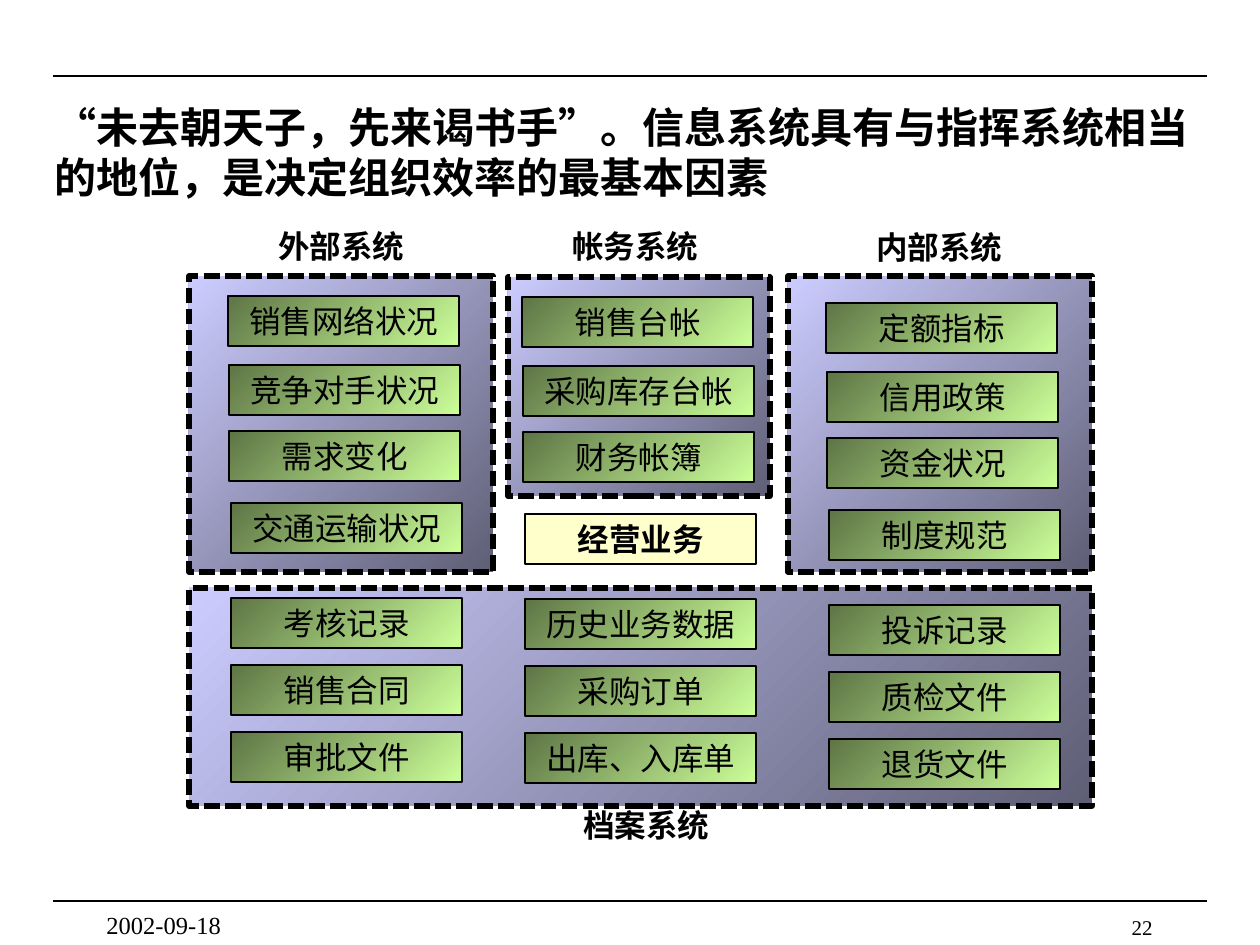
from lxml.etree import SubElement
from pptx import Presentation
from pptx.dml.color import RGBColor
from pptx.enum.dml import MSO_LINE
from pptx.enum.lang import MSO_LANGUAGE_ID
from pptx.enum.shapes import MSO_CONNECTOR, MSO_SHAPE
from pptx.enum.text import MSO_ANCHOR, PP_ALIGN
from pptx.oxml.ns import qn
from pptx.util import Emu, Pt

PX = 914400 / 126
COLORS = {
    "black": "000000",
    "cream": "FFFFCC",
    "green_light": "CCFF99",
    "green_dark": "5E7546",
    "violet_light": "CCCCFF",
    "violet_dark": "5E5E75",
}
LATIN_FONT = "Times New Roman"
CJK_FONT = "Noto Sans CJK SC"

TITLE = "“未去朝天子，先来谒书手”。信息系统具有与指挥系统相当的地位，是决定组织效率的最基本因素"
RULE_TOPS = [76, 901]
PANELS = [
    (189, 588, 903, 218),
    (508, 277, 262, 219),
    (788, 276, 304, 296),
    (189, 276, 304, 296),
]
HEADINGS = [
    ("外部系统", 231, 221),
    ("帐务系统", 525, 221),
    ("内部系统", 829, 222),
    ("档案系统", 536, 800),
]
# Each column: left, downward shift, upper items, archive items
COLUMNS = [
    (231, 0, ["销售网络状况", "竞争对手状况", "需求变化", "交通运输状况"],
     ["考核记录", "销售合同", "审批文件"]),
    (525, 1, ["销售台帐", "采购库存台帐", "财务帐簿"],
     ["历史业务数据", "采购订单", "出库、入库单"]),
    (829, 7, ["定额指标", "信用政策", "资金状况", "制度规范"],
     ["投诉记录", "质检文件", "退货文件"]),
]
UPPER_ROWS = [(-3, 296), (-2, 365), (-2, 431), (0, 503)]
ARCHIVE_ROWS = [(0, 598 + 67 * row) for row in range(3)]
BOX_WIDTH, BOX_HEIGHT = 231, 50
HEADING_WIDTH = 220


def px(*lengths):
    return [Emu(round(length * PX)) for length in lengths]


def color(name):
    return RGBColor.from_string(COLORS[name])


def write(shape, text, size=18, bold=False, font=LATIN_FONT,
          align=PP_ALIGN.CENTER, anchor=MSO_ANCHOR.MIDDLE):
    frame = shape.text_frame
    frame.word_wrap = True
    frame.vertical_anchor = anchor
    paragraph = frame.paragraphs[0]
    paragraph.alignment = align
    run = paragraph.add_run()
    run.text = text
    run.font.size = Pt(size)
    run.font.bold = bold
    run.font.name = font
    run.font.language_id = MSO_LANGUAGE_ID.SIMPLIFIED_CHINESE
    run.font.color.rgb = color("black")
    SubElement(run.font._element, qn("a:ea"), typeface=CJK_FONT)


def add_text(slide, box, text, **style):
    write(slide.shapes.add_textbox(*px(*box)), text, **style)


def add_rectangle(slide, box, fill_colors, line_width=0.75):
    """Two fill colours run from the bottom right to the top left corner."""
    shape = slide.shapes.add_shape(MSO_SHAPE.RECTANGLE, *px(*box))
    shape.shadow.inherit = False
    if len(fill_colors) == 1:
        shape.fill.solid()
        shape.fill.fore_color.rgb = color(fill_colors[0])
    else:
        shape.fill.gradient()
        shape.fill.gradient_angle = 135
        for stop, name in zip(shape.fill.gradient_stops, fill_colors):
            stop.color.rgb = color(name)
    shape.line.color.rgb = color("black")
    shape.line.width = Pt(line_width)
    return shape


def add_rule(slide, top):
    rule = slide.shapes.add_connector(MSO_CONNECTOR.STRAIGHT, *px(53, top, 1207, top))
    rule.line.color.rgb = color("black")
    rule.line.width = Pt(0.75)
    SubElement(rule._element.spPr, qn("a:effectLst"))


def main():
    presentation = Presentation()
    presentation.slide_width, presentation.slide_height = px(1260, 945)
    slide = presentation.slides.add_slide(presentation.slide_layouts[6])

    for top in RULE_TOPS:
        add_rule(slide, top)
    add_text(slide, (42, 84, 1176, 136), TITLE, size=24, bold=True,
             font=CJK_FONT, align=PP_ALIGN.LEFT)

    for panel_box in PANELS:
        panel = add_rectangle(slide, panel_box, ["violet_dark", "violet_light"], 3)
        panel.line.dash_style = MSO_LINE.SQUARE_DOT
    for text, left, top in HEADINGS:
        add_text(slide, (left, top, HEADING_WIDTH, BOX_HEIGHT), text, bold=True)

    for left, shift, upper_items, archive_items in COLUMNS:
        for items, rows in ((upper_items, UPPER_ROWS), (archive_items, ARCHIVE_ROWS)):
            for text, (indent, top) in zip(items, rows):
                box = (left + indent, top + shift, BOX_WIDTH, BOX_HEIGHT)
                write(add_rectangle(slide, box, ["green_light", "green_dark"]), text)

    business = add_rectangle(slide, (525, 514, BOX_WIDTH, BOX_HEIGHT), ["cream"])
    write(business, "经营业务", bold=True)

    add_text(slide, (903, 908, 262, 21), "22", size=12,
             align=PP_ALIGN.RIGHT, anchor=MSO_ANCHOR.TOP)
    add_text(slide, (94, 904, 262, 31), "2002-09-18", size=14,
             align=PP_ALIGN.LEFT, anchor=MSO_ANCHOR.TOP)
    presentation.save("out.pptx")


if __name__ == "__main__":
    main()
